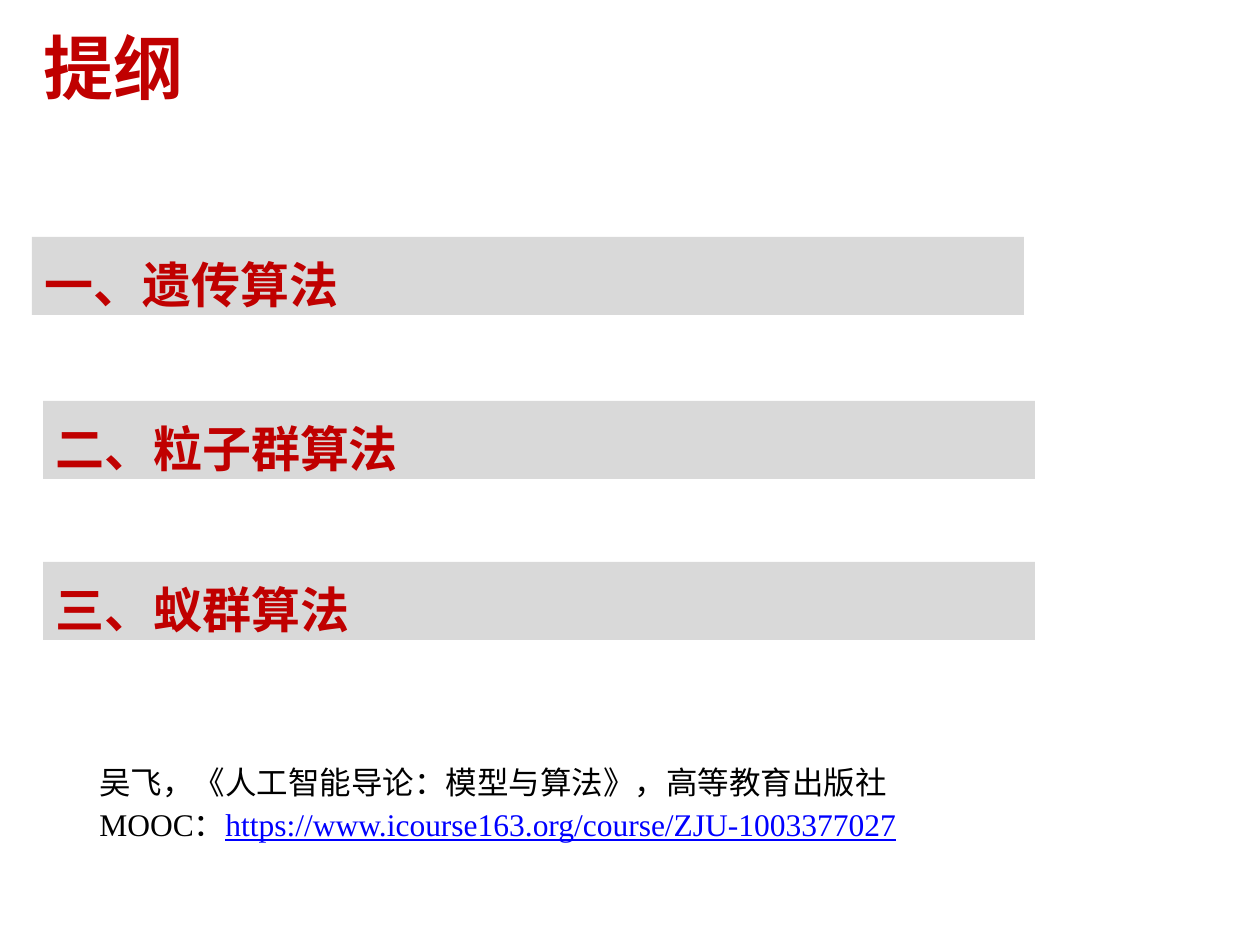
import pptx
import pptx.dml.color
import pptx.enum.shapes
import pptx.enum.text
import pptx.oxml.ns
import pptx.util
from lxml import etree

RED = pptx.dml.color.RGBColor(0xC0, 0x00, 0x00)
GREY = pptx.dml.color.RGBColor(0xD9, 0xD9, 0xD9)
BLACK = pptx.dml.color.RGBColor(0x00, 0x00, 0x00)
BLUE = pptx.dml.color.RGBColor(0x00, 0x00, 0xFF)


class Deck:
    PX_PER_INCH = 126
    SANS = "Noto Sans CJK SC"
    SERIF = "Times New Roman"

    def __init__(self, width, height):
        self.prs = pptx.Presentation()
        self.prs.slide_width = self.emu(width)
        self.prs.slide_height = self.emu(height)
        self.s = self.prs.slides.add_slide(self.prs.slide_layouts[6])

    def emu(self, px):
        return pptx.util.Emu(round(px * 914400 / self.PX_PER_INCH))

    def box(self, *px):
        return [self.emu(v) for v in px]

    def run(self, p, text, size, color, font, bold=False, underline=None):
        r = p.add_run()
        r.text = text
        r.font.size = pptx.util.Pt(size)
        r.font.bold = bold
        r.font.underline = underline
        r.font.color.rgb = color
        r.font.name = font
        ea = etree.SubElement(r.font._element, pptx.oxml.ns.qn("a:ea"))
        ea.set("typeface", self.SANS)

    def text_box(self, left, top, width, height):
        tf = self.s.shapes.add_textbox(*self.box(left, top, width, height)).text_frame
        tf.word_wrap = True
        return tf

    def title(self, text, left, top, width, height, inset):
        tf = self.text_box(left, top, width, height)
        tf.vertical_anchor = pptx.enum.text.MSO_ANCHOR.MIDDLE
        tf.margin_left = self.emu(inset)
        self.run(tf.paragraphs[0], text, 40, RED, self.SANS, bold=True)

    def bar(self, text, left, top, width, height):
        sp = self.s.shapes.add_shape(
            pptx.enum.shapes.MSO_SHAPE.RECTANGLE, *self.box(left, top, width, height))
        sp.shadow.inherit = False
        sp.fill.solid()
        sp.fill.fore_color.rgb = GREY
        sp.line.fill.background()
        tf = sp.text_frame
        tf.vertical_anchor = pptx.enum.text.MSO_ANCHOR.TOP
        p = tf.paragraphs[0]
        p.alignment = pptx.enum.text.PP_ALIGN.LEFT
        p.line_spacing = 1.2
        self.run(p, text, 28, RED, self.SERIF, bold=True)

    def references(self, lines, left, top, width, height):
        tf = self.text_box(left, top, width, height)
        for i, runs in enumerate(lines):
            p = tf.add_paragraph() if i else tf.paragraphs[0]
            p.line_spacing = pptx.util.Pt(12)
            if i:
                p.space_before = pptx.util.Pt(12)
            for text, color, underline in runs:
                self.run(p, text, 18, color, self.SERIF, underline=underline)


def main():
    deck = Deck(1260, 945)
    deck.title("提纲", 0, 4, 935, 125, 44)
    topics = [("一、遗传算法", 32, 237), ("二、粒子群算法", 43, 401), ("三、蚁群算法", 43, 562)]
    for text, left, top in topics:
        deck.bar(text, left, top, 992, 78)
    deck.references([
        [("吴飞，《人工智能导论：模型与算法》，高等教育出版社", BLACK, None)],
        [("MOOC：", BLACK, None),
         ("https://www.icourse163.org/course/ZJU-1003377027", BLUE, True)],
    ], 87, 774, 1051, 78)
    deck.prs.save("out.pptx")


if __name__ == "__main__":
    main()
